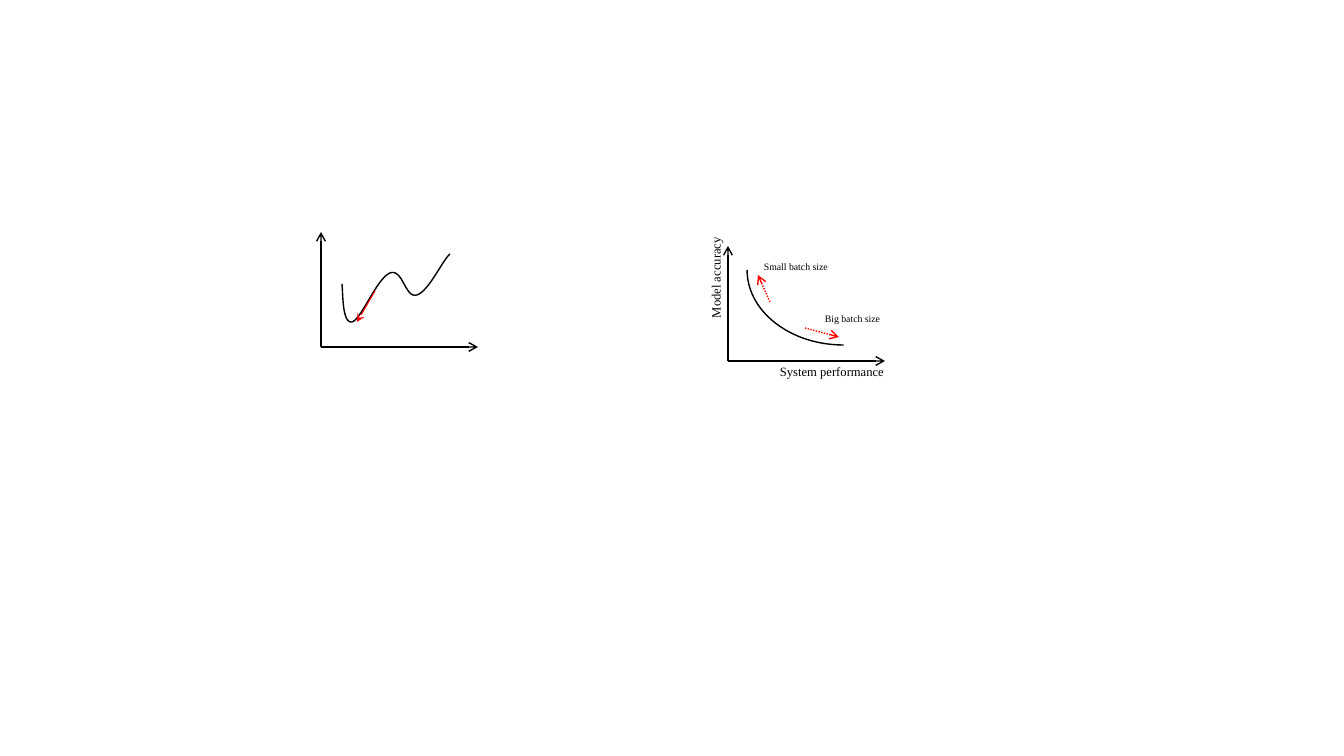
from dataclasses import dataclass

from lxml.etree import SubElement
from pptx import Presentation
from pptx.dml.color import RGBColor
from pptx.enum.dml import MSO_LINE
from pptx.enum.shapes import MSO_CONNECTOR, MSO_SHAPE
from pptx.oxml.ns import qn
from pptx.util import Pt

# Content: all lengths in px
SLIDE_SIZE = (1344, 756)
AXIS_ORIGINS = [(321, 347), (728, 361)]
AXIS_LENGTHS = (157, 115)

LOSS_START = (342, 284)
LOSS_CURVES = [
    [(343, 292), (342, 324), (352, 322)],
    [(361, 320), (377, 278), (390, 273)],
    [(403, 268), (405, 299), (417, 295)],
    [(429, 291), (442, 261), (450, 254)],
]
DESCENT = ((375, 291), (357, 322))

TRADE_OFF_ARC = (747, 195, 193, 150)
BATCH_ARROWS = [((805, 328), (839, 337)), ((770, 302), (758, 275))]
AXIS_LABELS = [
    ("System performance", (770, 359, 154, 28), 0),
    ("Model accuracy", (629, 228, 174, 26), 270),
]
BATCH_LABELS = [
    ("Big batch size", (815, 308, 85, 19)),
    ("Small batch size", (754, 256, 97, 19)),
]


@dataclass(frozen=True)
class Theme:
    ink: RGBColor = RGBColor(0, 0, 0)
    accent: RGBColor = RGBColor(255, 0, 0)
    font: str = "Times New Roman"
    axis_size: int = 9
    batch_size: int = 7
    line: float = 1
    thin_line: float = 0.75


THEME = Theme()
EMU_PER_PX = 914400 / 100.8
STEPS = 16


def px(*lengths):
    return [round(length * EMU_PER_PX) for length in lengths]


def style_line(line, color=THEME.ink, width=THEME.line):
    line.color.rgb = color
    line.width = Pt(width)


def add_arrow(slide, start, end, head="arrow", dash=None, **style):
    arrow = slide.shapes.add_connector(MSO_CONNECTOR.STRAIGHT, *px(*start, *end))
    style_line(arrow.line, **style)
    if dash:
        arrow.line.dash_style = dash
    properties = arrow._element.spPr
    SubElement(properties.find(qn("a:ln")), qn("a:tailEnd"), type=head)
    SubElement(properties, qn("a:effectLst"))


def add_text(slide, text, box, size=THEME.axis_size, color=THEME.ink, rotation=0):
    shape = slide.shapes.add_textbox(*px(*box))
    shape.rotation = rotation
    shape.text_frame.word_wrap = True
    paragraph = shape.text_frame.paragraphs[0]
    run = paragraph.add_run()
    run.text = text
    run.font.name = THEME.font
    run.font.size = Pt(size)
    run.font.color.rgb = color


def bezier_points(start, curves):
    """Points along a chain of cubic curves."""
    points = [start]
    for first, second, end in curves:
        for step in range(1, STEPS + 1):
            t = step / STEPS
            weights = ((1 - t) ** 3, 3 * t * (1 - t) ** 2, 3 * t**2 * (1 - t), t**3)
            corners = (start, first, second, end)
            points.append(tuple(
                sum(weight * corner[axis] for weight, corner in zip(weights, corners))
                for axis in (0, 1)
            ))
        start = end
    return points


def add_axes(slide, origin):
    x, y = origin
    width, height = AXIS_LENGTHS
    add_arrow(slide, origin, (x, y - height))
    add_arrow(slide, origin, (x + width, y))


def add_loss_plot(slide):
    add_axes(slide, AXIS_ORIGINS[0])
    points = [px(*point) for point in bezier_points(LOSS_START, LOSS_CURVES)]
    builder = slide.shapes.build_freeform(*points[0])
    builder.add_line_segments(points[1:], close=False)
    curve = builder.convert_to_shape()
    curve.shadow.inherit = False
    curve.fill.background()
    style_line(curve.line)
    add_arrow(slide, *DESCENT, head="stealth", color=THEME.accent, width=THEME.thin_line)


def add_trade_off_plot(slide):
    add_axes(slide, AXIS_ORIGINS[1])
    for text, box, rotation in AXIS_LABELS:
        add_text(slide, text, box, rotation=rotation)
    arc = slide.shapes.add_shape(MSO_SHAPE.ARC, *px(*TRADE_OFF_ARC))
    arc.rotation = 180
    arc.shadow.inherit = False
    arc.fill.background()
    style_line(arc.line)
    for start, end in BATCH_ARROWS:
        add_arrow(slide, start, end, dash=MSO_LINE.ROUND_DOT, color=THEME.accent)
    for text, box in BATCH_LABELS:
        add_text(slide, text, box, size=THEME.batch_size)


def main():
    presentation = Presentation()
    presentation.slide_width, presentation.slide_height = px(*SLIDE_SIZE)
    slide = presentation.slides.add_slide(presentation.slide_layouts[6])
    add_loss_plot(slide)
    add_trade_off_plot(slide)
    presentation.save("out.pptx")


if __name__ == "__main__":
    main()
